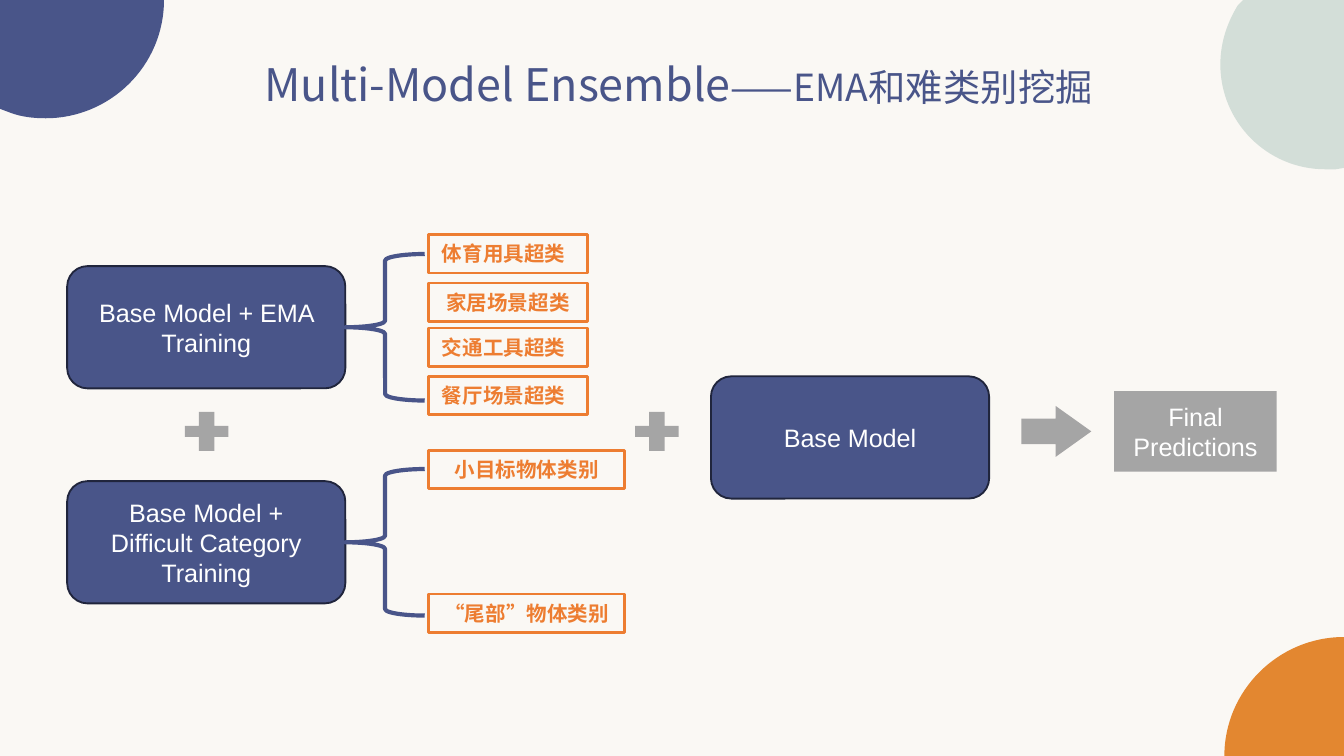
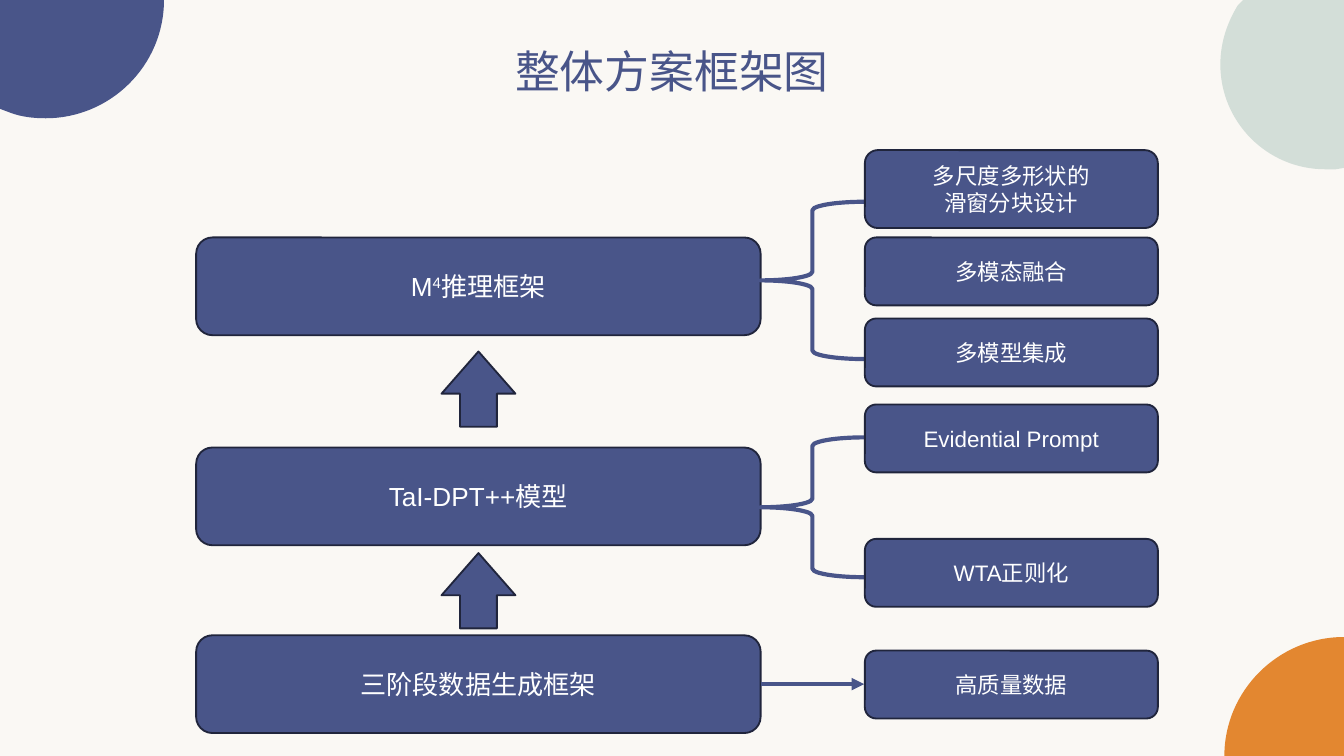
"""Build two slides on model ensembles and the overall framework."""
from dataclasses import dataclass
from typing import NamedTuple

from lxml.etree import SubElement
from pptx import Presentation
from pptx.dml.color import RGBColor as Rgb
from pptx.enum.shapes import MSO_CONNECTOR as Wire, MSO_SHAPE as Kind
from pptx.enum.text import MSO_ANCHOR as Anchor, MSO_AUTO_SIZE as Auto, PP_ALIGN as Align
from pptx.oxml.ns import qn
from pptx.util import Inches, Pt


@dataclass(frozen=True)
class Theme:
    """Colours, fonts and type sizes."""
    paper: str = "FAF8F4"
    navy: str = "495589"
    edge: str = "20253C"
    mint: str = "D3DED8"
    amber: str = "E38730"
    orange: str = "ED7D31"
    grey: str = "A5A5A5"
    white: str = "FFFFFF"
    sans: str = "Arial"
    cjk: str = "Noto Sans CJK SC"
    head: float = 24
    sub: float = 20
    node: float = 13.5
    tier: float = 14
    note: float = 12
    tag: float = 11
    thin: float = 1
    mid: float = 1.5
    thick: float = 2.25


class Box(NamedTuple):
    """A frame in grid columns and rows."""
    x: float
    y: float
    w: float
    h: float

    def sub(self, x, y, w, h):
        """Return a frame offset from this one."""
        return Box(self.x + x, self.y + y, w, h)

    def row(self, x, w, h):
        """Return a frame centred between top and bottom."""
        return self.sub(x, (self.h - h) / 2, w, h)


T = Theme()
COLS, ROWS = 100, 56.25
CELL = Inches(10) / COLS
NOOK = [(0, 0), (12.2, 0), (12.2, 4.9, 8.2, 8.8, 3.4, 8.8),
        (2.5, 8.8, 1.6, 8.7, 0.8, 8.4), (0, 8.1)]
FOOT = [(COLS, 47.4), (95.1, 47.4, 91.1, 51.4, 91.1, ROWS), (COLS, ROWS)]
MOON = [(92.5, 0), (COLS, 0), (COLS, 12.5), (99.4, 12.6),
        (99.2, 12.6, 98.9, 12.6, 98.6, 12.6), (94.3, 12.6, 90.8, 9.1, 90.8, 4.8),
        (90.8, 3.2, 91.3, 1.7, 92.1, 0.4)]


def grid(*spans):
    """Turn grid spans into lengths."""
    return [round(span * CELL) for span in spans]


def ink(code):
    """Turn a hex code into a colour."""
    return Rgb.from_string(code)


def paint(shape, fill=None, line=None, width=T.thin):
    """Set fill and outline and drop the shadow."""
    shape.shadow.inherit = False
    if fill:
        shape.fill.solid()
        shape.fill.fore_color.rgb = ink(fill)
    else:
        shape.fill.background()
    if line:
        shape.line.color.rgb = ink(line)
        shape.line.width = Pt(width)
    else:
        shape.line.fill.background()


def style(run, size, color, face=T.sans, bold=None, lift=None):
    """Format one run."""
    run.font.size, run.font.bold = Pt(size), bold
    run.font.color.rgb = ink(color)
    run.font.name = face
    props = run._r.get_or_add_rPr()
    SubElement(props, qn("a:ea")).set("typeface", T.cjk)
    if lift:
        props.set("baseline", str(lift * 1000))


def write(shape, text, size, color=T.white, align=Align.CENTER, anchor=Anchor.MIDDLE, **look):
    """Fill a shape with text in one style."""
    frame = shape.text_frame
    frame.word_wrap, frame.vertical_anchor = True, anchor
    frame.text = text
    for para in frame.paragraphs:
        para.alignment = align
        for run in para.runs:
            style(run, size, color, **look)
    return frame.paragraphs[-1]


def extend(para, text, *args, **look):
    """Add one styled run to a paragraph."""
    run = para.add_run()
    run.text = text
    style(run, *args, **look)


def draw(slide, kind, box, adj=(), **look):
    """Add a painted preset shape."""
    shape = slide.shapes.add_shape(kind, *grid(*box))
    for i, value in enumerate(adj):
        shape.adjustments[i] = value
    paint(shape, **look)
    return shape


def panel(slide, box, text, size):
    """Add a navy rounded panel with text."""
    shape = draw(slide, Kind.ROUNDED_RECTANGLE, box, fill=T.navy, line=T.edge)
    return write(shape, text, size)


def brace(slide, box):
    """Add a navy opening brace."""
    draw(slide, Kind.LEFT_BRACE, box, line=T.navy, width=T.thick)


def title(slide, box, text):
    """Add the slide title."""
    shape = slide.shapes.add_textbox(*grid(*box))
    para = write(shape, text, T.head, T.navy, anchor=Anchor.TOP, face=T.cjk)
    shape.text_frame.auto_size = Auto.SHAPE_TO_FIT_TEXT
    return para


def blob(slide, start, *legs, color):
    """Add an outline whose six-number legs are curves."""
    pen = slide.shapes.build_freeform(*grid(*start))
    for leg in legs:
        pen.add_line_segments([grid(*leg[i:i + 2]) for i in range(0, len(leg), 2)], close=False)
    pen.add_line_segments([], close=True)
    shape = pen.convert_to_shape()
    steps = iter(list(shape.element.iter(qn("a:lnTo"))))
    for leg in legs:
        head, *rest = [next(steps) for _ in range(len(leg) // 2)]
        if rest:
            head.tag = qn("a:cubicBezTo")
        for step in rest:
            head.append(step[0])
            step.getparent().remove(step)
    paint(shape, fill=color)
    return shape


def decor(slide, layout):
    """Give the layout its background and corner shapes."""
    layout.background.fill.solid()
    layout.background.fill.fore_color.rgb = ink(T.paper)
    for holder in list(layout.placeholders):
        holder.element.getparent().remove(holder.element)
    for edge, color in ((NOOK, T.navy), (FOOT, T.amber), (MOON, T.mint)):
        layout.shapes.element.append(blob(slide, *edge, color=color).element)


def branch(slide, box, text, tags, wide):
    """Add a model with a brace and its tags."""
    panel(slide, box.row(0, 20.7, 9.1), text, T.node)
    brace(slide, box.row(20.7, 5.9, 10.9))
    for label, top, align in tags:
        shape = draw(slide, Kind.RECTANGLE, box.sub(26.9, top, wide, 2.87),
                     line=T.orange, width=T.mid)
        write(shape, label, T.tag, T.orange, align, Anchor.TOP, bold=True)


def result(slide, box):
    """Add the base model leading to the predictions."""
    panel(slide, box.sub(0, 0, 20.7, 9.1), "Base Model", T.node)
    draw(slide, Kind.RIGHT_ARROW, box.sub(23.1, 2.2, 5.2, 3.8), (0.5, 0.7), fill=T.grey)
    final = draw(slide, Kind.RECTANGLE, box.sub(30, 1.1, 12.1, 6), fill=T.grey)
    write(final, "Final Predictions", T.node)


def ensemble(slide):
    """Build the model ensemble slide."""
    para = title(slide, Box(11.3, 3.7, 78.4, 5), "Multi-Model Ensemble")
    extend(para, "——EMA和难类别挖掘", T.sub, T.navy, T.cjk)
    left, mid = Align.LEFT, Align.CENTER
    branch(slide, Box(5, 17.45, 38.7, 13.8), "Base Model + EMA Training",
           [("体育用具超类", 0, left), ("家居场景超类", 3.6, mid),
            ("交通工具超类", 6.95, left), ("餐厅场景超类", 10.55, left)], 11.8)
    branch(slide, Box(5, 33.5, 41.5, 13.7), "Base Model + Difficult Category Training",
           [("小目标物体类别", 0, mid), ("“尾部”物体类别", 10.7, mid)], 14.6)
    for x in (13.75, 47.25):
        draw(slide, Kind.CROSS, Box(x, 30.65, 3.25, 2.9), (0.36,), fill=T.grey)
    result(slide, Box(52.9, 28, 42.1, 9.1))


def link(slide, box):
    """Add an arrow across the middle of a frame."""
    y = box.y + box.h / 2
    wire = slide.shapes.add_connector(Wire.STRAIGHT, *grid(box.x, y, box.x + box.w, y))
    wire.line.color.rgb = ink(T.navy)
    wire.line.width = Pt(T.thick)
    SubElement(wire.line._get_or_add_ln(), qn("a:tailEnd")).set("type", "triangle")
    SubElement(wire.element.spPr, qn("a:effectLst"))


def tier(slide, box, text, notes, span=None):
    """Add a stage and join it to its notes."""
    para = panel(slide, box.sub(0, 0, 42, box.h), text, T.tier)
    if span:
        top, tall = span
        brace(slide, box.sub(42, top, 7.7, tall))
    else:
        link(slide, box.sub(42, 0, 7.7, box.h))
    for label, top, tall in notes:
        panel(slide, box.sub(49.75, top, 21.8, tall), label, T.note)
    return para


def scheme(slide):
    """Build the overall framework slide."""
    title(slide, Box(20.7, 2.8, 58.6, 5), "整体方案框架图")
    top, mid, base = (Box(14.6, y, 71.55, 7.27) for y in (17.67, 33.3, 47.27))
    para = tier(slide, top, "M", [("多尺度多形状的\n滑窗分块设计", -6.5, 5.8),
                                  ("多模态融合", 0, 5.05), ("多模型集成", 6.03, 5.05)],
                (-2.65, 11.7))
    extend(para, "4", T.tier, T.white, lift=30)
    extend(para, "推理框架", T.tier, T.white)
    tier(slide, mid, "TaI-DPT++模型",
         [("Evidential Prompt", -3.2, 5.05), ("WTA正则化", 6.8, 5.05)], (-0.75, 10.4))
    tier(slide, base, "三阶段数据生成框架", [("高质量数据", 1.14, 5.05)])
    for y in (26.2, 41.2):
        arrow = draw(slide, Kind.RIGHT_ARROW, Box(32.8, y, 5.6, 5.5), (0.5, 0.57),
                     fill=T.navy, line=T.edge)
        arrow.rotation = 270


def main():
    """Build and save the deck."""
    deck = Presentation()
    deck.slide_width, deck.slide_height = grid(COLS, ROWS)
    blank = deck.slide_layouts[6]
    first = deck.slides.add_slide(blank)
    decor(first, blank)
    ensemble(first)
    scheme(deck.slides.add_slide(blank))
    deck.save("out.pptx")


if __name__ == "__main__":
    main()
